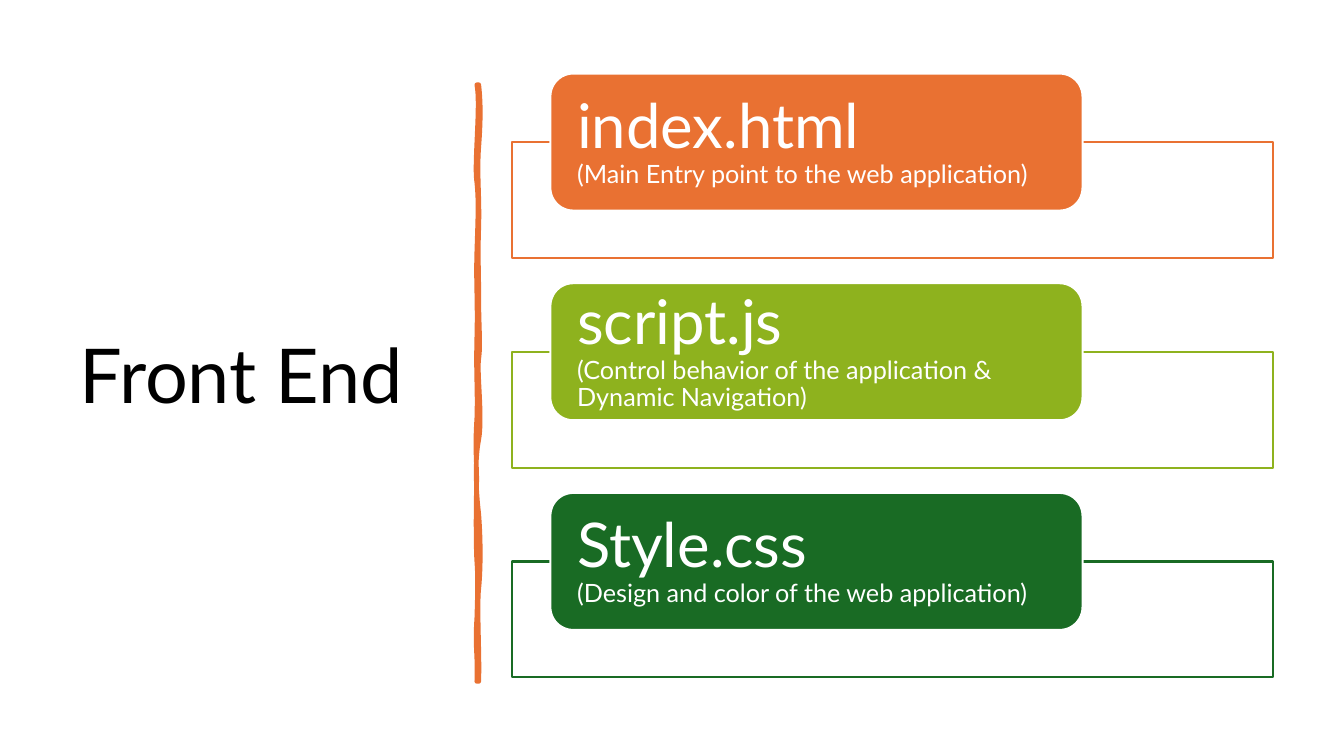
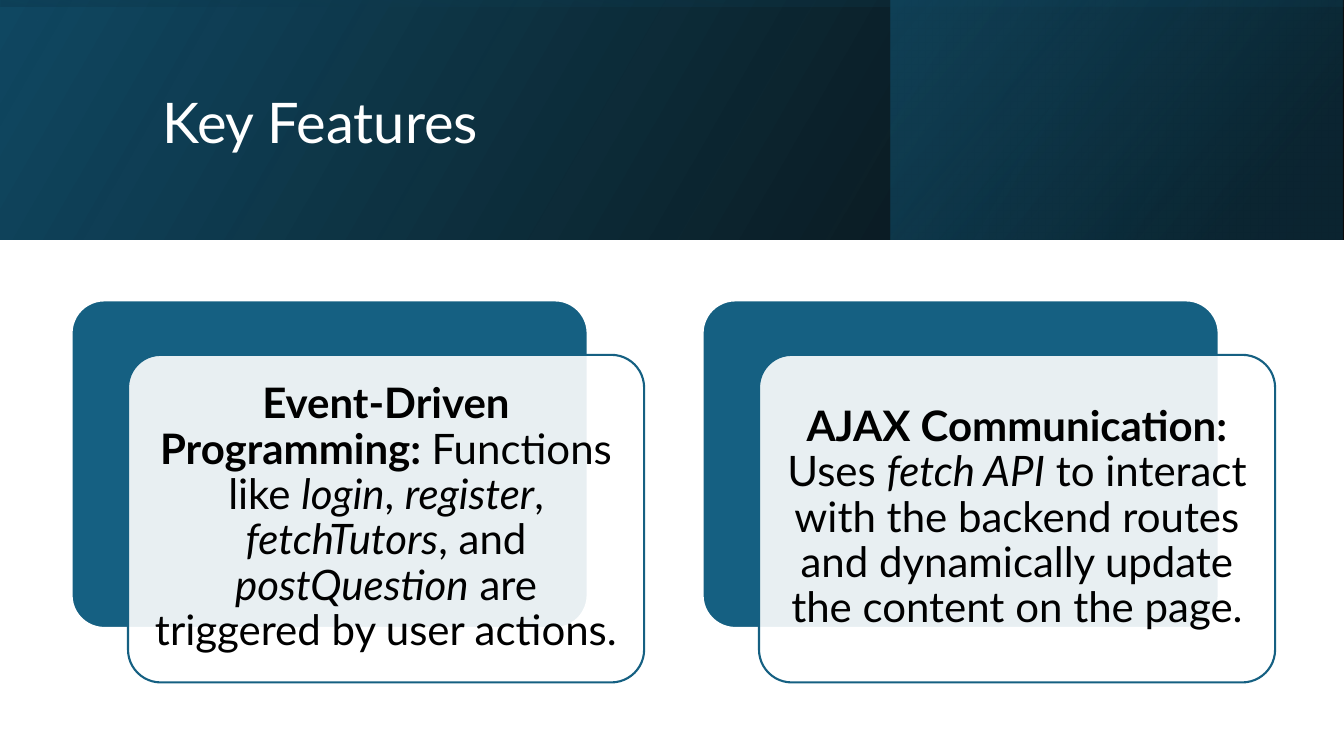
import dataclasses
import typing

import lxml.etree
import pptx
import pptx.dml.color
import pptx.enum.shapes
import pptx.enum.text
import pptx.oxml
import pptx.oxml.ns
import pptx.util

SCALE = 9144
WIDE, HIGH = 1333, 750
FONT = "Lato"
HUES = {
    "white": "FFFFFF",
    "black": "000000",
    "orange": "E97132",
    "lime": "8EB21E",
    "green": "196B24",
    "blue": "156082",
    "navy": "104862",
    "deep": "0B3041",
}
KINDS = pptx.enum.shapes.MSO_SHAPE
ALIGN = pptx.enum.text.PP_ALIGN
Box = tuple[int, int, int, int]


@dataclasses.dataclass(frozen=True)
class Run:
    text: str
    size: int
    hue: str
    bold: bool = False
    italic: bool = False


@dataclasses.dataclass(frozen=True)
class Band:
    box: Box
    turn: int
    angle: int
    stops: tuple[tuple[int, str, int], ...]


@dataclasses.dataclass(frozen=True)
class File:
    name: str
    note: str
    hue: str


BANDS = (
    Band((0, 0, WIDE, 238), 0, 330, ((0, "black", 96), (100, "navy", 100))),
    Band((884, 0, 448, 238), 0, 320, ((19, "deep", 68), (100, "blue", 48))),
    Band((548, -548, 238, WIDE), 270, 350, ((23, "navy", 16), (99, "black", 45))),
)

FILES = (
    File("index.html", "(Main Entry point to the web application)", "orange"),
    File("script.js", "(Control behavior of the application & Dynamic Navigation)", "lime"),
    File("Style.css", "(Design and color of the web application)", "green"),
)

CARDS = (
    (
        ("Event-Driven Programming: ", "b"),
        ("Functions like ", ""),
        ("login", "i"),
        (", ", ""),
        ("register", "i"),
        (", ", ""),
        ("fetchTutors", "i"),
        (", and ", ""),
        ("postQuestion", "i"),
        (" are triggered by user actions.", ""),
    ),
    (
        ("AJAX Communication: ", "b"),
        ("Uses ", ""),
        ("fetch API", "i"),
        (" to interact with the backend routes and dynamically update the content on the page.", ""),
    ),
)

START = (475, 84)
CURVES = (
    ((477, 102), (477, 119), (475, 146)),
    ((473, 173), (476, 195), (475, 226)),
    ((474, 257), (475, 262), (475, 294)),
    ((475, 325), (477, 342), (475, 356)),
    ((473, 370), (479, 414), (475, 436)),
    ((471, 457), (472, 484), (475, 510)),
    ((477, 536), (477, 564), (475, 584)),
    ((473, 603), (476, 650), (475, 676)),
    ((474, 676), (473, 676), (473, 676)),
    ((474, 646), (471, 644), (473, 613)),
    ((474, 583), (474, 570), (473, 557)),
    ((472, 544), (472, 495), (473, 477)),
    ((473, 459), (471, 445), (473, 415)),
    ((474, 386), (472, 373), (473, 335)),
    ((474, 298), (472, 281), (473, 250)),
    ((474, 218), (475, 200), (473, 181)),
    ((470, 163), (477, 104), (473, 84)),
    ((474, 84), (474, 84), START),
)


def px(count: float) -> int:
    return round(count * SCALE)


def tint(hue: str) -> pptx.dml.color.RGBColor:
    return pptx.dml.color.RGBColor.from_string(HUES[hue])


def apply(target: typing.Any, form: dict[str, typing.Any]) -> None:
    for name, value in form.items():
        setattr(target, name, value)


def place(shape: typing.Any, box: Box) -> None:
    apply(shape, dict(zip(("left", "top", "width", "height"), map(px, box))))


def paint(shape: typing.Any, fill: str, line: str, width: float = 1.5) -> None:
    shape.shadow.inherit = False
    shape.fill.solid()
    shape.fill.fore_color.rgb = tint(fill)
    shape.line.color.rgb = tint(line)
    shape.line.width = pptx.util.Pt(width)


def fade(shape: typing.Any, share: int) -> None:
    color = shape.element.spPr.find(".//" + pptx.oxml.ns.qn("a:srgbClr"))
    alpha = lxml.etree.SubElement(color, pptx.oxml.ns.qn("a:alpha"))
    alpha.set("val", str(share * 1000))


def block(slide: typing.Any, kind: typing.Any, box: Box, fill: str, line: str) -> typing.Any:
    shape = slide.shapes.add_shape(kind, *map(px, box))
    paint(shape, fill, line)
    return shape


def write(
    shape: typing.Any,
    rows: list[list[Run]],
    align: typing.Any,
    inset: tuple[int, int],
    after: int,
) -> None:
    frame = shape.text_frame
    side, edge = map(px, inset)
    apply(frame, {
        "word_wrap": True,
        "auto_size": pptx.enum.text.MSO_AUTO_SIZE.NONE,
        "vertical_anchor": pptx.enum.text.MSO_ANCHOR.MIDDLE,
        "margin_left": side,
        "margin_right": side,
        "margin_top": edge,
        "margin_bottom": edge,
    })
    for rank, row in enumerate(rows):
        para = frame.add_paragraph() if rank else frame.paragraphs[0]
        last = rank == len(rows) - 1
        apply(para, {
            "alignment": align,
            "line_spacing": 0.9,
            "space_before": pptx.util.Pt(0),
            "space_after": pptx.util.Pt(after if last else 0),
        })
        for item in row:
            run = para.add_run()
            run.text = item.text
            apply(run.font, {
                "name": FONT,
                "size": pptx.util.Pt(item.size),
                "bold": item.bold,
                "italic": item.italic,
            })
            run.font.color.rgb = tint(item.hue)


def head(slide: typing.Any, text: str, box: Box, size: int, hue: str) -> None:
    title = slide.shapes.title
    title.element.getparent().append(title.element)
    place(title, box)
    write(title, [[Run(text, size, hue)]], ALIGN.LEFT, (10, 5), 6)


def draw_stroke(slide: typing.Any) -> None:
    qn = pptx.oxml.ns.qn
    pen = slide.shapes.build_freeform(*START, scale=float(SCALE))
    pen.add_line_segments([curve[-1] for curve in CURVES], close=True)
    shape = pen.convert_to_shape()
    paint(shape, "orange", "orange", 3.25)
    lxml.etree.SubElement(shape.line._get_or_add_ln(), qn("a:round"))
    left = min(x for x, _ in (curve[-1] for curve in CURVES))
    top = START[1]
    lines = list(shape.element.spPr.iter(qn("a:lnTo")))
    for line, curve in zip(lines, CURVES):
        bend = lxml.etree.Element(qn("a:cubicBezTo"))
        for x, y in curve:
            dot = lxml.etree.SubElement(bend, qn("a:pt"))
            dot.set("x", str(x - left))
            dot.set("y", str(y - top))
        line.getparent().replace(line, bend)


def draw_file(slide: typing.Any, item: File, down: int) -> None:
    frame = block(slide, KINDS.RECTANGLE, (508, 141 + down, 755, 115), "white", item.hue)
    fade(frame, 90)
    tab = block(slide, KINDS.ROUNDED_RECTANGLE, (546, 73 + down, 528, 136), item.hue, "white")
    rows = [[Run(item.name, 44, "white")], [Run(item.note, 18, "white")]]
    write(tab, rows, ALIGN.LEFT, (20, 0), 6)


def draw_band(slide: typing.Any, band: Band) -> None:
    shape = block(slide, KINDS.RECTANGLE, band.box, "navy", "navy")
    shape.line.fill.background()
    shape.rotation = band.turn
    props = shape.element.spPr
    props.xfrm.set("flipH", "1")
    stops = "".join(
        f'<a:gs pos="{spot * 1000}"><a:srgbClr val="{HUES[hue]}">'
        f'<a:alpha val="{share * 1000}"/></a:srgbClr></a:gs>'
        for spot, hue, share in band.stops
    )
    grad = pptx.oxml.parse_xml(
        f'<a:gradFill {pptx.oxml.ns.nsdecls("a")} rotWithShape="1"><a:gsLst>{stops}</a:gsLst>'
        f'<a:lin ang="{band.angle * 60000}" scaled="0"/></a:gradFill>'
    )
    props.replace(props.find(pptx.oxml.ns.qn("a:solidFill")), grad)


def draw_card(slide: typing.Any, parts: tuple[tuple[str, str], ...], left: int) -> None:
    kind = KINDS.ROUNDED_RECTANGLE
    back = block(slide, kind, (left, 298, 512, 325), "blue", "white")
    front = block(slide, kind, (left + 56, 352, 512, 325), "white", "blue")
    for shape in (back, front):
        shape.adjustments[0] = 0.1
    fade(front, 90)
    row = [Run(text, 30, "black", mark == "b", mark == "i") for text, mark in parts]
    write(front, [row], ALIGN.CENTER, (12, 12), 10)


def main() -> None:
    deck = pptx.Presentation()
    apply(deck, {"slide_width": px(WIDE + 1 / 3), "slide_height": px(HIGH)})
    layout = deck.slide_layouts.get_by_name("Title Only")

    front = deck.slides.add_slide(layout)
    head(front, "Front End", (69, 70, 374, 611), 54, "black")
    draw_stroke(front)
    for rank, item in enumerate(FILES):
        draw_file(front, item, rank * 208)

    traits = deck.slides.add_slide(layout)
    for band in BANDS:
        draw_band(traits, band)
    head(traits, "Key Features", (151, 38, 1063, 172), 40, "white")
    for rank, parts in enumerate(CARDS):
        draw_card(traits, parts, 71 + rank * 626)

    deck.save("out.pptx")


if __name__ == "__main__":
    main()
